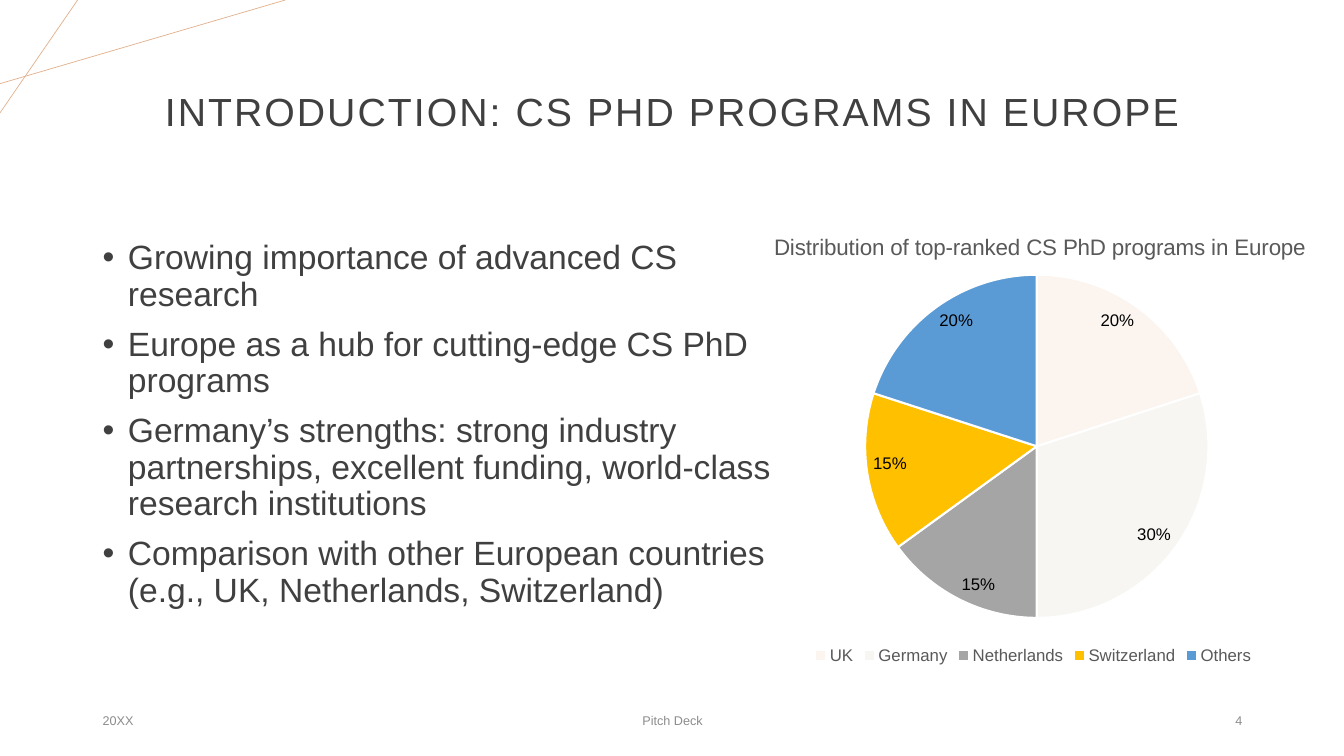
from lxml import etree
from pptx import Presentation
from pptx import util as u
from pptx.chart import data
from pptx.dml.color import RGBColor
from pptx.enum import chart as ch, shapes, text
from pptx.oxml import ns

WIDE, HIGH = 13.33, 7.5
LEFT, SPAN = 0.92, 11.5
FOOT = {"top": 6.95, "high": 0.4}
HUES = {"line": "E2B18D", "ink": "404040", "foot": "8C8C8C", "mid": "595959",
        "black": "000000", "white": "FFFFFF"}
SHARES = {"UK": (0.2, "FBF4EF"), "Germany": (0.3, "F7F6F3"),
          "Netherlands": (0.15, "A5A5A5"), "Switzerland": (0.15, "FFC000"),
          "Others": (0.2, "5B9BD5")}
POINTS = (
    "Growing importance of advanced CS research",
    "Europe as a hub for cutting-edge CS PhD programs",
    "Germany’s strengths: strong industry partnerships, excellent funding, "
    "world-class research institutions",
    "Comparison with other European countries (e.g., UK, Netherlands, Switzerland)",
)


def put(item, form):
    """Set each attribute named in form."""
    for name, value in form.items():
        setattr(item, name, value)


def style(font, size, hue):
    """Give a font its face, size and colour."""
    put(font, {"name": "Arial", "size": u.Pt(size), "bold": False})
    font.color.rgb = RGBColor.from_string(HUES[hue])


def add_line(slide, start, end):
    """Draw a thin corner line."""
    line = slide.shapes.add_connector(
        shapes.MSO_CONNECTOR.STRAIGHT, *(u.Inches(v) for v in start + end))
    line.line.color.rgb = RGBColor.from_string(HUES["line"])
    line.line.width = u.Pt(0.5)
    etree.SubElement(line._element.spPr, ns.qn("a:effectLst"))


def add_text(slide, place, lines, size, hue, form, anchor="MIDDLE"):
    """Add a text box with one paragraph per line and return its paragraphs."""
    frame = slide.shapes.add_textbox(*(u.Inches(v) for v in place)).text_frame
    put(frame, {"word_wrap": True, "text": "\n".join(lines),
                "vertical_anchor": text.MSO_ANCHOR[anchor]})
    for para in frame.paragraphs:
        put(para, form)
        style(para.runs[0].font, size, hue)
    return frame.paragraphs


def add_bullet(para):
    """Give a paragraph a hanging bullet."""
    props = para._p.get_or_add_pPr()
    props.set("marL", str(u.Inches(0.25)))
    props.set("indent", str(-u.Inches(0.25)))
    etree.SubElement(props, ns.qn("a:buFont")).set("typeface", "Arial")
    etree.SubElement(props, ns.qn("a:buChar")).set("char", "•")


def set_place(part, index, **shares):
    """Place a chart part by shares of the chart's size."""
    for old in part.findall(ns.qn("c:layout")):
        part.remove(old)
    layout = etree.Element(ns.qn("c:layout"))
    manual = etree.SubElement(layout, ns.qn("c:manualLayout"))
    if "w" in shares:
        shares = {"layoutTarget": "inner"} | shares
    modes = {"xMode": "edge", "yMode": "edge"}
    order = ("layoutTarget", "xMode", "yMode", "x", "y", "w", "h")
    values = shares | modes
    for key in order:
        if key in values:
            etree.SubElement(manual, ns.qn("c:" + key)).set("val", str(values[key]))
    part.insert(index, layout)


def add_pie(slide, place, title):
    """Add the pie of programme shares."""
    table = data.CategoryChartData(number_format="0%")
    table.categories = list(SHARES)
    table.add_series("Series 1", [share for share, _ in SHARES.values()])
    pie = slide.shapes.add_chart(
        ch.XL_CHART_TYPE.PIE, *(u.Inches(v) for v in place), table).chart
    style(pie.font, 10, "black")
    put(pie, {"has_title": True, "has_legend": True})
    pie.chart_title.text_frame.text = title
    style(pie.chart_title.text_frame.paragraphs[0].runs[0].font, 16, "mid")
    put(pie.legend, {"position": ch.XL_LEGEND_POSITION.BOTTOM,
                     "include_in_layout": False})
    style(pie.legend.font, 12, "mid")
    plot = pie.plots[0]
    put(plot, {"vary_by_categories": True, "has_data_labels": True})
    put(plot.data_labels, {"show_value": True, "show_percentage": False,
                           "number_format": "0%", "number_format_is_linked": False,
                           "position": ch.XL_LABEL_POSITION.INSIDE_END})
    style(plot.data_labels.font, 12, "black")
    for index, (_, hue) in enumerate(SHARES.values()):
        form = plot.series[0].points[index].format
        form.fill.solid()
        form.fill.fore_color.rgb = RGBColor.from_string(hue)
        form.line.color.rgb = RGBColor.from_string(HUES["white"])
        form.line.width = u.Pt(1.5)
    set_place(pie.chart_title._element, 1, x=0.11, y=0.04)
    area = pie._chartSpace.chart.plotArea
    set_place(area, 0, x=0.25, y=0.14, w=0.51, h=0.75)


def main():
    """Build and save the slide."""
    deck = Presentation()
    put(deck, {"slide_width": u.Inches(WIDE), "slide_height": u.Inches(HIGH)})
    slide = deck.slides.add_slide(deck.slide_layouts[6])
    add_line(slide, (0, 0.83), (2.83, 0))
    add_line(slide, (0.77, 0), (0, 1.12))
    align = text.PP_ALIGN
    head = add_text(slide, (LEFT, 0.4, SPAN, 1.45),
                    ["INTRODUCTION: CS PHD PROGRAMS IN EUROPE"], 28, "ink",
                    {"alignment": align.CENTER, "line_spacing": 0.9})
    head[0].runs[0].font._element.set("spc", "150")
    feet = (("20XX", 0, 3, align.LEFT), ("Pitch Deck", 3.5, 4.5, align.CENTER),
            ("4", 8.5, 3, align.RIGHT))
    for word, shift, wide, side in feet:
        add_text(slide, (LEFT + shift, FOOT["top"], wide, FOOT["high"]), [word],
                 9, "foot", {"alignment": side, "space_after": u.Pt(6)})
    body = add_text(slide, (LEFT, 2.34, 6.85, 4.04), POINTS, 24, "ink",
                    {"line_spacing": 0.9, "space_before": u.Pt(10)}, "TOP")
    for para in body:
        add_bullet(para)
    add_pie(slide, (6.9, 2.09, 6.7, 4.54),
            "Distribution of top-ranked CS PhD programs in Europe")
    deck.save("out.pptx")


if __name__ == "__main__":
    main()
